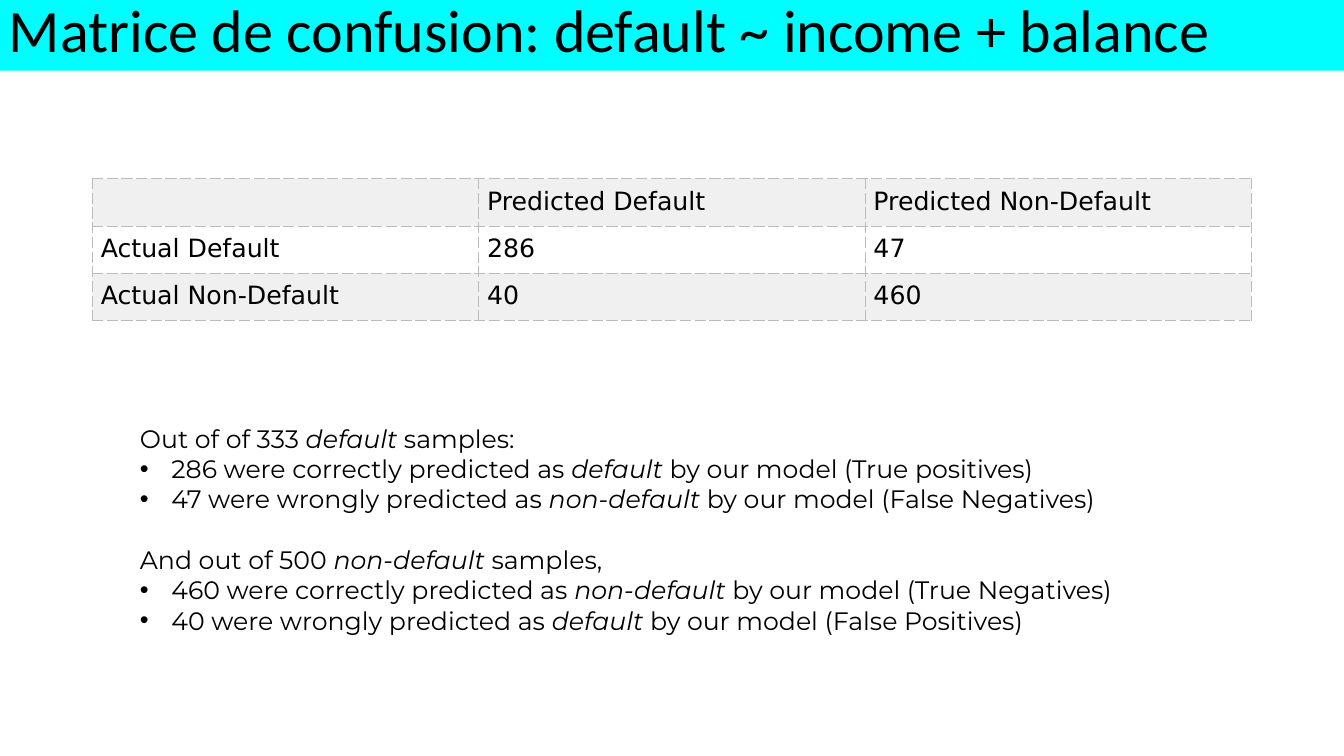
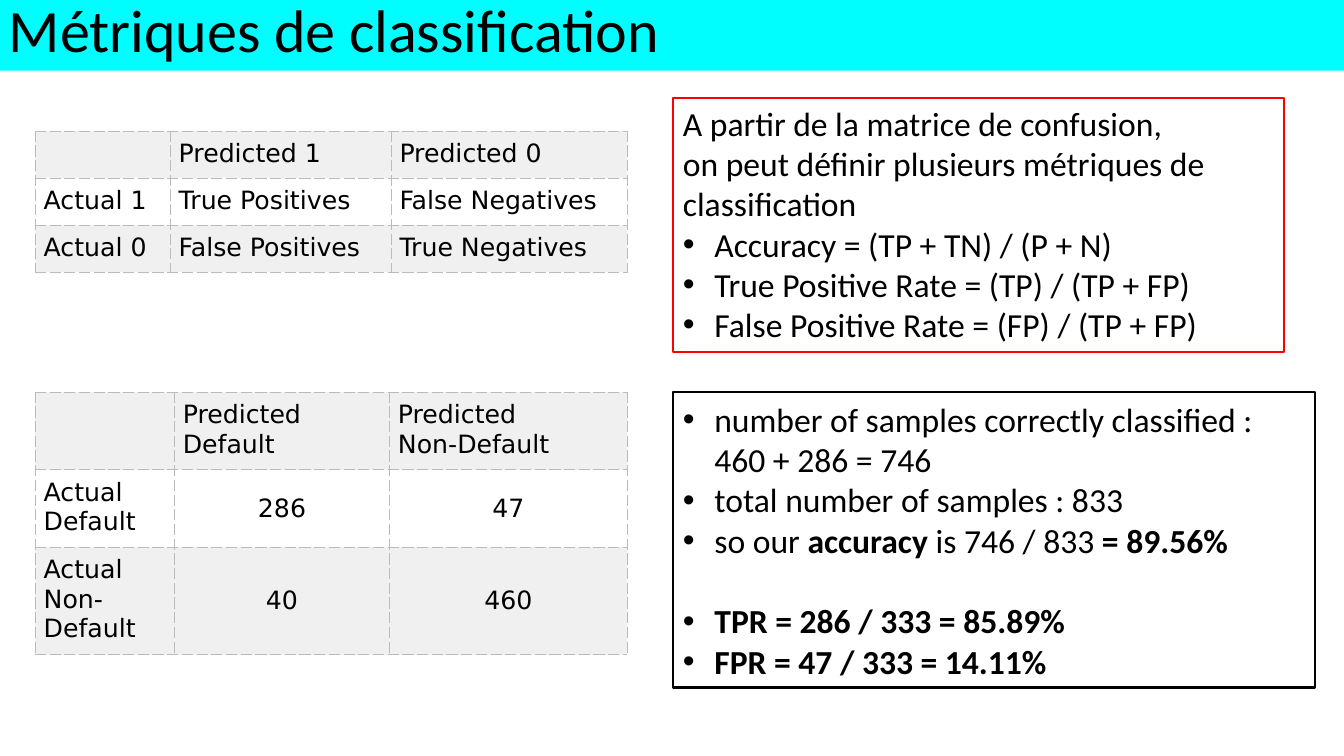
from dataclasses import dataclass

from lxml import etree
from pptx import Presentation
from pptx.dml.color import RGBColor
from pptx.enum.shapes import MSO_SHAPE
from pptx.enum.text import MSO_ANCHOR, MSO_AUTO_SIZE, PP_ALIGN
from pptx.oxml.ns import qn
from pptx.util import Pt

RECTANGLE = MSO_SHAPE.RECTANGLE
TOP, MIDDLE = MSO_ANCHOR.TOP, MSO_ANCHOR.MIDDLE
LEFT, CENTER = PP_ALIGN.LEFT, PP_ALIGN.CENTER
GROW = MSO_AUTO_SIZE.SHAPE_TO_FIT_TEXT
BLANK_LAYOUT = 6


@dataclass(frozen=True)
class Theme:
    ink: str = "000000"
    paper: str = "FFFFFF"
    band: str = "00FDFF"
    stripe: str = "F0F0F0"
    grid: str = "BBBBBB"
    alert: str = "FF0000"
    heading_font: str = "Calibri"
    table_font: str = "DejaVu Sans"
    prose_font: str = "Montserrat"
    heading_size: float = 42.9
    note_size: float = 24
    body_size: float = 18
    outline: float = 1.5
    grid_line: float = 0.75
    cell_inset: float = 6
    indent: float = 22.5


@dataclass(frozen=True)
class Line:
    runs: tuple
    bullet: bool = False
    gap: float = 0


THEME = Theme()


def colour(code):
    return RGBColor.from_string(code)


def plain(text):
    return Line(((text, ""),))


def bullet(*runs, gap=0):
    return Line(runs, True, gap)


def sample_line(before, label, after, bulleted=True, gap=0):
    return Line(((before, ""), (label, "i"), (after, "")), bulleted, gap)


def add_run(paragraph, text, font, size, style=""):
    run = paragraph.add_run()
    run.text = text
    run.font.name = font
    run.font.size = Pt(size)
    run.font.color.rgb = colour(THEME.ink)
    run.font.bold = "b" in style
    run.font.italic = "i" in style


def set_bullet(paragraph):
    properties = paragraph._p.get_or_add_pPr()
    properties.set("marL", str(Pt(THEME.indent)))
    properties.set("indent", str(-Pt(THEME.indent)))
    etree.SubElement(properties, qn("a:buFont"), typeface="Arial")
    etree.SubElement(properties, qn("a:buChar"), char="•")


def write_lines(frame, lines, font, size):
    frame.word_wrap = True
    frame.auto_size = GROW
    for index, line in enumerate(lines):
        paragraph = frame.add_paragraph() if index else frame.paragraphs[0]
        paragraph.alignment = LEFT
        paragraph.space_before = Pt(line.gap)
        if line.bullet:
            set_bullet(paragraph)
        for text, style in line.runs:
            add_run(paragraph, text, font, size, style)


def add_rectangle(slide, box):
    rectangle = slide.shapes.add_shape(RECTANGLE, *map(Pt, box))
    rectangle.shadow.inherit = False
    return rectangle


def add_title(slide, title):
    band = add_rectangle(slide, (-0.7, -0.7, 960.7, 51.1))
    band.fill.solid()
    band.fill.fore_color.rgb = colour(THEME.band)
    band.line.fill.background()
    band.text_frame.vertical_anchor = MIDDLE
    band.text_frame.word_wrap = True
    heading = band.text_frame.paragraphs[0]
    heading.alignment = LEFT
    heading.line_spacing = 0.8
    add_run(heading, title, THEME.heading_font, THEME.heading_size)


def add_note(slide, box, outline, lines, anchor=TOP):
    note = add_rectangle(slide, box)
    note.fill.background()
    note.line.color.rgb = colour(outline)
    note.line.width = Pt(THEME.outline)
    note.text_frame.vertical_anchor = anchor
    write_lines(note.text_frame, lines, THEME.heading_font, THEME.note_size)


def add_prose(slide, box, lines):
    prose = slide.shapes.add_textbox(*map(Pt, box))
    write_lines(prose.text_frame, lines, THEME.prose_font, THEME.body_size)


def set_borders(cell):
    properties = cell._tc.get_or_add_tcPr()
    for side in ("lnL", "lnR", "lnT", "lnB"):
        border = etree.SubElement(properties, qn(f"a:{side}"), w=str(Pt(THEME.grid_line)))
        fill = etree.SubElement(border, qn("a:solidFill"))
        etree.SubElement(fill, qn("a:srgbClr"), val=THEME.grid)
        etree.SubElement(border, qn("a:prstDash"), val="dash")


def fill_cell(cell, text, background, centred):
    set_borders(cell)
    cell.fill.solid()
    cell.fill.fore_color.rgb = colour(background)
    cell.margin_left = cell.margin_right = Pt(THEME.cell_inset)
    cell.margin_top = cell.margin_bottom = Pt(THEME.cell_inset)
    cell.vertical_anchor = MIDDLE if centred else TOP
    paragraph = cell.text_frame.paragraphs[0]
    paragraph.alignment = CENTER if centred else LEFT
    for index, part in enumerate(text.split("\n") if text else ()):
        if index:
            paragraph.add_line_break()
        add_run(paragraph, part, THEME.table_font, THEME.body_size)


def add_matrix(slide, corner, widths, heights, rows, centre_counts=False):
    size = (sum(widths), sum(heights))
    table = slide.shapes.add_table(
        len(rows), len(widths), *map(Pt, corner + size)).table
    table.first_row = table.horz_banding = False
    for column, width in zip(table.columns, widths):
        column.width = Pt(width)
    for r, (texts, height) in enumerate(zip(rows, heights)):
        table.rows[r].height = Pt(height)
        background = THEME.paper if r % 2 else THEME.stripe
        for c, text in enumerate(texts):
            centred = centre_counts and r > 0 and c > 0
            fill_cell(table.cell(r, c), text, background, centred)


def count_rows(*headers):
    return (
        ("", *headers),
        ("Actual Default", "286", "47"),
        ("Actual Non-Default", "40", "460"),
    )


def build_confusion_matrix(slide):
    add_matrix(slide, (66, 127.5), (276,) * 3, (33.6,) * 3,
               count_rows("Predicted Default", "Predicted Non-Default"))
    add_prose(slide, (92.9, 298.8, 801.4, 203.8), (
        sample_line("Out of of 333 ", "default", " samples:", False),
        sample_line("286 were correctly predicted as ", "default",
                    " by our model (True positives)"),
        sample_line("47 were wrongly predicted as ", "non-default",
                    " by our model (False Negatives)"),
        sample_line("And out of 500 ", "non-default", " samples,", False, gap=21.7),
        sample_line("460 were correctly predicted as ", "non-default",
                    " by our model (True Negatives)"),
        sample_line("40 were wrongly predicted as ", "default",
                    " by our model (False Positives)"),
    ))
    add_title(slide, "Matrice de confusion: default ~ income + balance")


def build_metrics(slide):
    add_matrix(slide, (25.2, 93.6), (96.5, 157.7, 168.5), (33.6,) * 3, (
        ("", "Predicted 1", "Predicted 0"),
        ("Actual 1", "True Positives", "False Negatives"),
        ("Actual 0", "False Positives", "True Negatives"),
    ))
    add_matrix(slide, (25.2, 280.1), (99.4, 153.7, 169.6), (55.4, 55.4, 76.7),
               count_rows("Predicted\nDefault", "Predicted\nNon-Default"),
               centre_counts=True)
    add_note(slide, (480.7, 69.8, 436.6, 181.7), THEME.alert, (
        plain("A partir de la matrice de confusion,"),
        plain("on peut définir plusieurs métriques de classification"),
        bullet(("Accuracy = (TP + TN) / (P + N)", "")),
        bullet(("True Positive Rate = (TP) / (TP + FP)", "")),
        bullet(("False Positive Rate = (FP) / (TP + FP)", "")),
    ))
    add_note(slide, (480.7, 280.1, 458.6, 211), THEME.ink, (
        bullet(("number of samples correctly classified : 460 + 286 = 746", "")),
        bullet(("total number of samples : 833", "")),
        bullet(("so our ", ""), ("accuracy ", "b"), ("is 746 / 833", ""),
               (" = 89.56%", "b")),
        bullet(("TPR = 286 / 333 = 85.89%", "b"), gap=28.8),
        bullet(("FPR = 47 / 333 = 14.11%", "b")),
    ), MIDDLE)
    add_title(slide, "Métriques de classification")


def main():
    deck = Presentation()
    deck.slide_width, deck.slide_height = Pt(960), Pt(540)
    for build in (build_confusion_matrix, build_metrics):
        build(deck.slides.add_slide(deck.slide_layouts[BLANK_LAYOUT]))
    deck.save("out.pptx")


if __name__ == "__main__":
    main()
